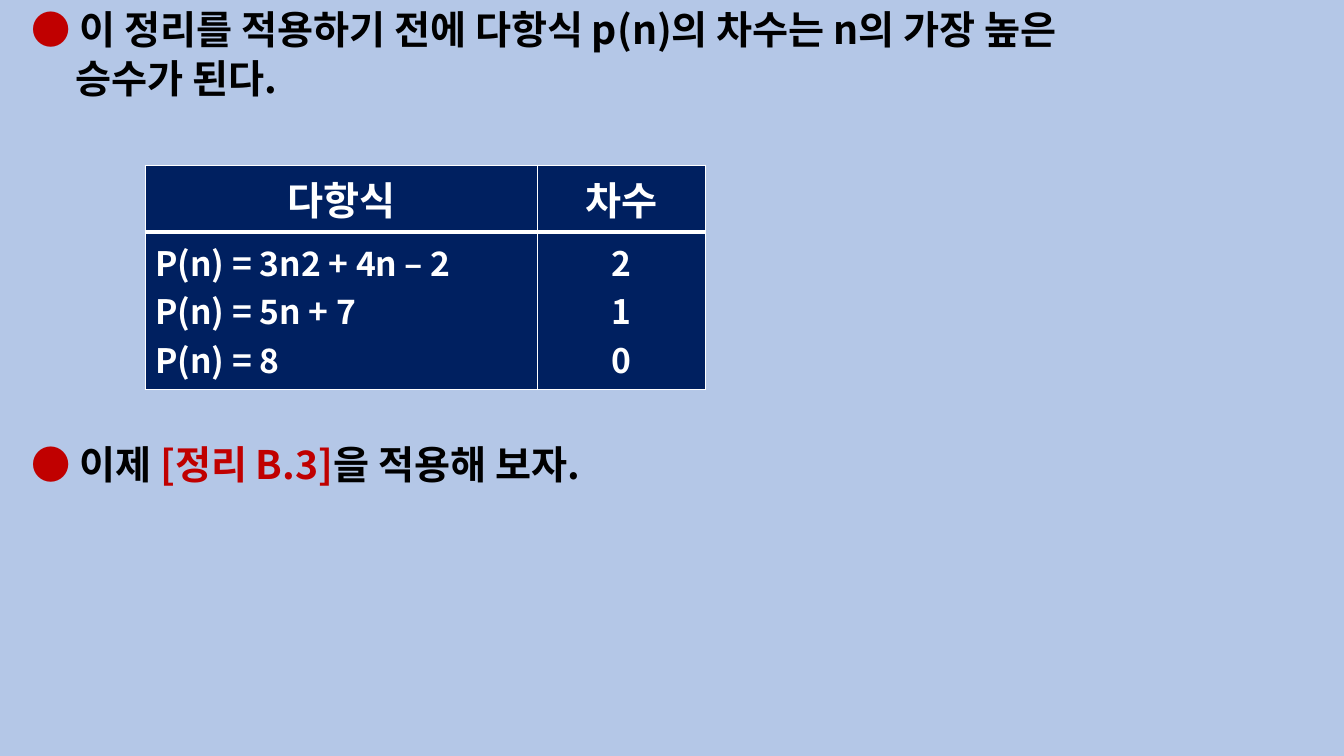
from lxml.etree import SubElement
from pptx import Presentation
from pptx.dml.color import RGBColor
from pptx.enum.text import MSO_AUTO_SIZE as Fit, PP_ALIGN as Align
from pptx.oxml import parse_xml
from pptx.oxml.ns import nsdecls, qn
from pptx.util import Pt

PX = 9144  # 100 px to the inch
FONT = "Noto Sans CJK KR"
RED, BLACK, WHITE = "C00000", "000000", "FFFFFF"
NAVY, SKY = "002060", "B4C7E7"


def px(n):
    return n * PX


def paint(fill, tone):
    fill.solid()
    fill.fore_color.rgb = RGBColor.from_string(tone)


def add_run(para, text, tone, size=28):
    run = para.add_run()
    run.text = text
    font = run.font
    font.name, font.size, font.bold = FONT, Pt(size), True
    paint(font.fill, tone)
    SubElement(font._element, qn("a:ea")).set("typeface", FONT)


# Body text: each line has its indent, space before and runs
LINES = [
    (0, 8, [("● ", RED),
            ("이 정리를 적용하기 전에 다항식 p(n)의 차수는 n의 가장 높은", BLACK)]),
    (44, 8, [("승수가 된다.", BLACK)]),
    (0, 249, [("● ", RED), ("이제 ", BLACK), ("[정리 B.3]", RED),
              ("을 적용해 보자.", BLACK)]),
]


def add_body(slide, left, top, width, height):
    body = slide.placeholders[1]
    body.left, body.top = px(left), px(top)
    body.width, body.height = px(width), px(height)
    frame = body.text_frame
    frame.auto_size = Fit.NONE
    for i, (inset, gap, runs) in enumerate(LINES):
        para = frame.add_paragraph() if i else frame.paragraphs[0]
        para.line_spacing, para.space_before = 0.8, Pt(gap)
        props = para._p.get_or_add_pPr()
        props.set("marL", str(px(inset)))
        props.set("indent", "0")
        SubElement(props, qn("a:buNone"))
        for text, tone in runs:
            add_run(para, text, tone)


# Table: every row has its height, text size, side borders and cells
COLS = [389, 167]
ROWS = [
    (62, 28, {"T": 1, "B": 3}, [["다항식"], ["차수"]]),
    (156, 24, {"T": 3, "B": 1},
     [["P(n) = 3n2 + 4n – 2", "P(n) = 5n + 7", "P(n) = 8"], ["2", "1", "0"]]),
]


def add_edges(cell, edges):
    props = cell._tc.get_or_add_tcPr()
    for i, side in enumerate("LRTB"):
        width = Pt(edges.get(side, 1))
        props.insert(i, parse_xml(
            f'<a:ln{side} {nsdecls("a")} w="{width}"><a:solidFill>'
            f'<a:srgbClr val="{WHITE}"/></a:solidFill></a:ln{side}>'))


def add_grid(slide, left, top):
    high = sum(row[0] for row in ROWS)
    table = slide.shapes.add_table(len(ROWS), len(COLS), px(left), px(top),
                                   px(sum(COLS)), px(high)).table
    for col, width in zip(table.columns, COLS):
        col.width = px(width)
    for r, (height, size, edges, cells) in enumerate(ROWS):
        table.rows[r].height = px(height)
        for c, texts in enumerate(cells):
            cell = table.cell(r, c)
            paint(cell.fill, NAVY)
            add_edges(cell, edges)
            frame = cell.text_frame
            for i, text in enumerate(texts):
                para = frame.add_paragraph() if i else frame.paragraphs[0]
                para.alignment = Align.LEFT if r and not c else Align.CENTER
                add_run(para, text, WHITE, size)


def main():
    deck = Presentation()
    deck.slide_width, deck.slide_height = px(1333), px(750)
    slide = deck.slides.add_slide(deck.slide_layouts[1])
    paint(slide.background.fill, SKY)
    title = slide.shapes.title._element
    title.getparent().remove(title)
    add_body(slide, 21, 9, 1298, 729)
    add_grid(slide, 144, 164)
    deck.save("out.pptx")


if __name__ == "__main__":
    main()
